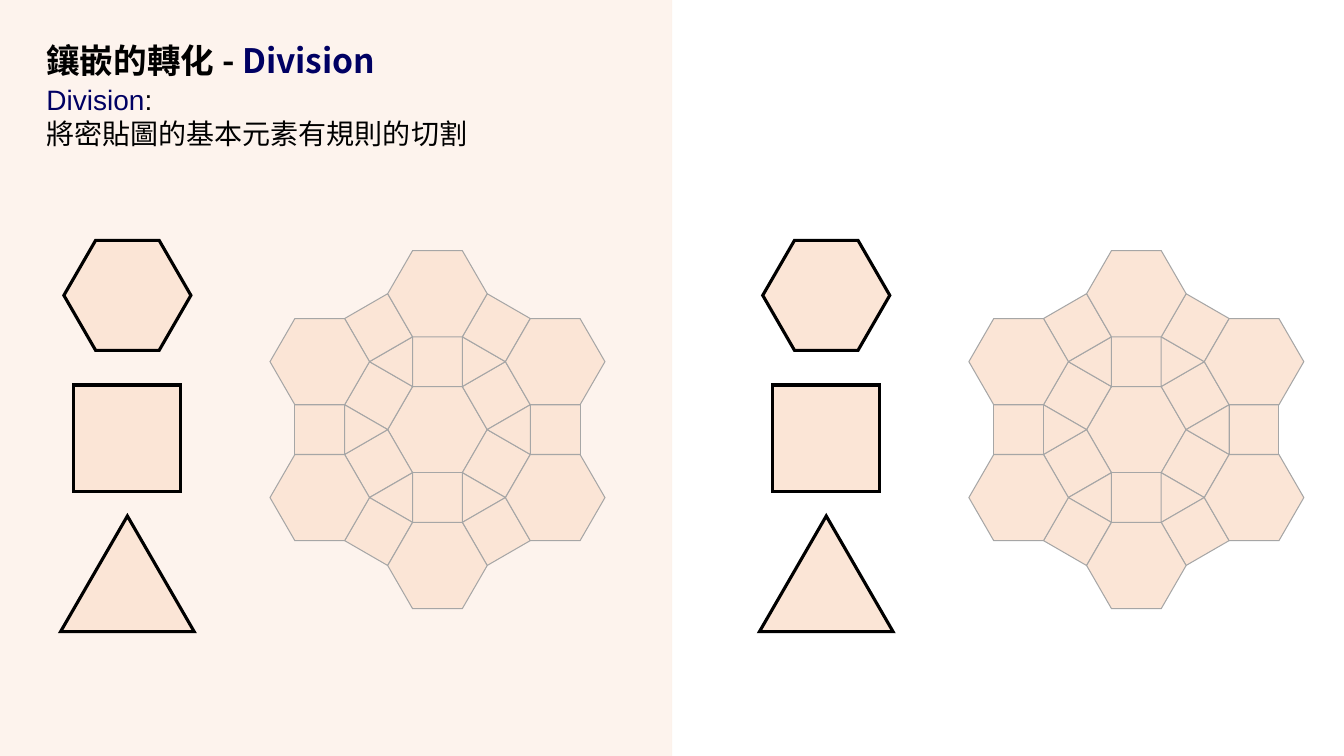
"""Tessellation division slide: basic tiles beside the rosette they form, shown twice."""
import math

import pptx
import pptx.dml.color
import pptx.enum.shapes
import pptx.enum.text
import pptx.oxml
import pptx.oxml.ns
import pptx.util

RGBColor = pptx.dml.color.RGBColor
BLACK = RGBColor(0x00, 0x00, 0x00)
NAVY = RGBColor(0x00, 0x00, 0x63)
GREY = RGBColor(0xA6, 0xA6, 0xA6)
PEACH = RGBColor(0xFB, 0xE5, 0xD6)
ORANGE = RGBColor(0xF4, 0xB1, 0x83)
CJK = "Noto Sans CJK SC"
TITLE_FONT, BODY_FONT = CJK, "Arial"


def child(parent, tag, **attrs):
    el = pptx.oxml.parse_xml(f"<a:{tag} {pptx.oxml.ns.nsdecls('a')}/>")
    for key, value in attrs.items():
        el.set(key, str(value))
    parent.append(el)
    return el


class Board:
    """Style and current slide; lengths are percentages of the slide's size."""

    def __init__(self, prs):
        self.w, self.h = prs.slide_width, prs.slide_height
        self.s = prs.slides.add_slide(prs.slide_layouts[1])

    def x(self, share):
        return round(self.w * share / 100)

    def y(self, share):
        return round(self.h * share / 100)

    def fade(self, fill, percent):
        color = fill._xPr.find(".//" + pptx.oxml.ns.qn("a:srgbClr"))
        child(color, "alpha", val=percent * 1000)

    def panel(self, left, top, width, height, color, opacity):
        sp = self.s.shapes.add_shape(
            pptx.enum.shapes.MSO_SHAPE.RECTANGLE,
            self.x(left), self.y(top), self.x(width), self.y(height))
        sp.shadow.inherit = False
        sp.fill.solid()
        sp.fill.fore_color.rgb = color
        self.fade(sp.fill, opacity)
        sp.line.fill.background()

    def divider(self, share, color, opacity):
        cx = self.s.shapes.add_connector(
            pptx.enum.shapes.MSO_CONNECTOR.STRAIGHT,
            self.x(share), self.h, self.x(share), 0)
        cx.line.color.rgb = color
        cx.line.width = pptx.util.Pt(0.25)
        self.fade(cx.line.fill, opacity)
        child(cx.element.spPr, "effectLst")

    def text(self, sp, box, paragraphs, font, size, bold=False, spacing=1.0, anchor="TOP"):
        left, top, width, height = box
        sp.left, sp.top = self.x(left), self.y(top)
        sp.width, sp.height = self.x(width), self.y(height)
        sp.element.getparent().append(sp.element)
        tf = sp.text_frame
        tf.word_wrap = True
        tf.auto_size = pptx.enum.text.MSO_AUTO_SIZE.NONE
        tf.vertical_anchor = getattr(pptx.enum.text.MSO_ANCHOR, anchor)
        for i, runs in enumerate(paragraphs):
            p = tf.add_paragraph() if i else tf.paragraphs[0]
            pPr = p._p.get_or_add_pPr()
            pPr.set("marL", "0")
            pPr.set("indent", "0")
            child(pPr, "buNone")
            p.alignment = pptx.enum.text.PP_ALIGN.LEFT
            p.line_spacing = spacing
            p.space_before = pptx.util.Pt(0)
            for words, color in runs:
                r = p.add_run()
                r.text = words
                r.font.size = pptx.util.Pt(size)
                r.font.bold = bold
                r.font.color.rgb = color
                r.font.name = font
                child(r._r.get_or_add_rPr(), "ea", typeface=CJK)

    def polygon(self, cx, cy, sides, radius, start, color, weight):
        corners = []
        for i in range(sides):
            angle = math.radians(start + 360 * i / sides)
            corners.append((self.x(cx) + self.y(radius * math.cos(angle)),
                            self.y(cy + radius * math.sin(angle))))
        fb = self.s.shapes.build_freeform(*corners[0], scale=1.0)
        fb.add_line_segments(corners[1:], close=True)
        sp = fb.convert_to_shape()
        sp.shadow.inherit = False
        sp.fill.solid()
        sp.fill.fore_color.rgb = PEACH
        sp.line.color.rgb = color
        sp.line.width = pptx.util.Pt(weight)
        child(sp.line._get_or_add_ln(), "miter", lim=800000)

    def rosette(self, cx, cy, side):
        root3 = math.sqrt(3)
        hexagon = (6, side, 0)
        square = (4, side / math.sqrt(2), 45)
        triangle = (3, side / root3, 180)
        rings = [
            (square, 30, (root3 + 1) / 2),
            (triangle, 0, 1 + 1 / root3),
            (square, 0, (3 + root3) / 2),
            (hexagon, 30, root3 + 1),
        ]
        self.polygon(cx, cy, *hexagon, GREY, 0.75)
        for (sides, radius, start), offset, distance in rings:
            for k in range(6):
                turn = offset + 60 * k
                reach = side * distance
                dx = reach * math.cos(math.radians(turn)) * self.h / self.w
                dy = reach * math.sin(math.radians(turn))
                spin = 0 if sides == 6 else turn
                self.polygon(cx + dx, cy + dy, sides, radius, start + spin, GREY, 0.75)


def main():
    prs = pptx.Presentation()
    prs.slide_width = pptx.util.Inches(13.33)
    prs.slide_height = pptx.util.Inches(7.5)
    board = Board(prs)
    board.panel(0, 0, 50, 100, ORANGE, 14)
    board.divider(50, PEACH, 50)
    title, body = board.s.placeholders
    board.text(title, (2.7, 5.3, 44.6, 5.9),
               [[("鑲嵌的轉化 - ", BLACK), ("Division", NAVY)]],
               TITLE_FONT, 24, bold=True, spacing=0.9, anchor="MIDDLE")
    board.text(body, (2.7, 10.3, 42.2, 10.3),
               [[("Division", NAVY), (":", BLACK)],
                [("將密貼圖的基本元素有規則的切割", BLACK)]],
               BODY_FONT, 20)
    pieces = [(39.07, 6, 8.4, 0), (58, 4, 10, 45), (78.45, 3, 10.2, -90)]
    for shift in (0, 52):
        board.rosette(32.55 + shift, 56.83, 6.58)
        for cy, sides, radius, start in pieces:
            board.polygon(9.48 + shift, cy, sides, radius, start, BLACK, 2.25)
    prs.save("out.pptx")


if __name__ == "__main__":
    main()
